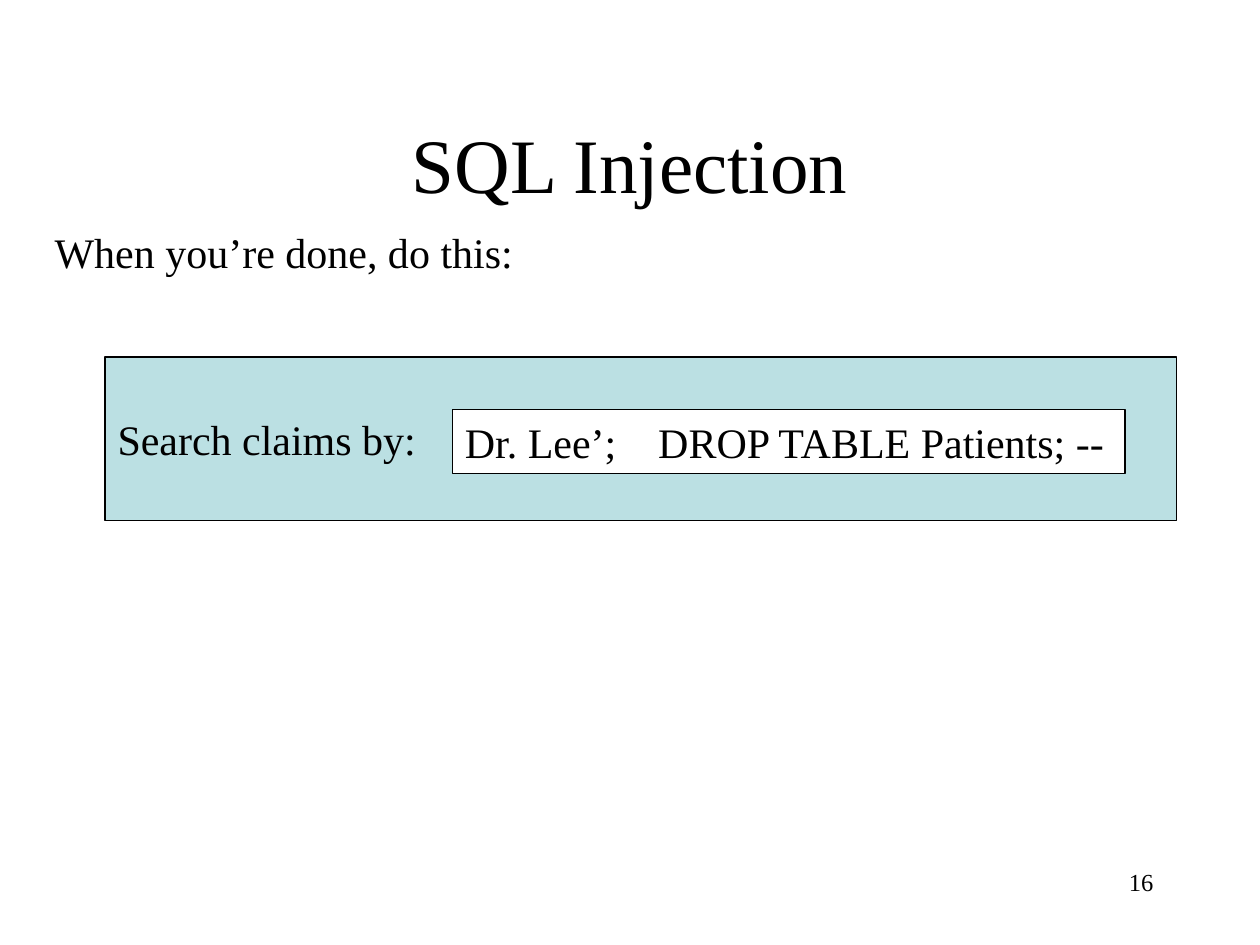
from lxml.etree import SubElement
from pptx import Presentation
from pptx.dml.color import RGBColor
from pptx.enum.shapes import MSO_SHAPE
from pptx.enum.text import MSO_ANCHOR, PP_ALIGN
from pptx.oxml.ns import qn
from pptx.util import Cm, Pt


def colour(code):
    return RGBColor.from_string(code)


def write(box, text, size=24, align=PP_ALIGN.LEFT, anchor=MSO_ANCHOR.MIDDLE,
          font="Times New Roman", ink="000000", tab=None):
    frame = box.text_frame
    frame.word_wrap = True
    frame.vertical_anchor = anchor
    para = frame.paragraphs[0]
    para.alignment = align
    if tab is not None:
        stops = SubElement(para._p.get_or_add_pPr(), qn("a:tabLst"))
        SubElement(stops, qn("a:tab"), pos=str(int(tab)), algn="l")
    span = para.add_run()
    span.text = text
    span.font.name = font
    span.font.size = Pt(size)
    span.font.color.rgb = colour(ink)


class SlideBuilder:
    def __init__(self, page, font="Times New Roman", ink="000000", line_width=0.75):
        self.page = page
        self.font = font
        self.ink = ink
        self.line_width = line_width

    def label(self, area, text, **style):
        box = self.page.shapes.add_textbox(*map(Cm, area))
        write(box, text, font=self.font, ink=self.ink, **style)

    def panel(self, area, text, fill, **style):
        box = self.page.shapes.add_shape(MSO_SHAPE.RECTANGLE, *map(Cm, area))
        box.shadow.inherit = False
        box.fill.solid()
        box.fill.fore_color.rgb = colour(fill)
        box.line.color.rgb = colour(self.ink)
        box.line.width = Pt(self.line_width)
        write(box, text, font=self.font, ink=self.ink, **style)


def main():
    deck = Presentation()
    deck.slide_width = Cm(25.4)
    deck.slide_height = Cm(19.05)
    builder = SlideBuilder(deck.slides.add_slide(deck.slide_layouts[6]))

    builder.label((1.9, 1.7, 21.6, 3.18), "SQL Injection", size=44, align=PP_ALIGN.CENTER)
    builder.label((0.85, 4.45, 9.9, 1.28), "When you’re done, do this:", anchor=MSO_ANCHOR.TOP)
    builder.panel((2.12, 7.2, 21.6, 3.3), "Search claims by:", "BBE0E3")
    builder.panel((9.12, 8.26, 13.56, 1.28), "Dr. Lee’;\tDROP TABLE Patients; --", "FFFFFF",
                  tab=Cm(3.9))
    builder.label((18.2, 17.35, 5.3, 1.27), "16", size=14, align=PP_ALIGN.RIGHT,
                  anchor=MSO_ANCHOR.TOP)

    deck.save("out.pptx")


if __name__ == "__main__":
    main()
